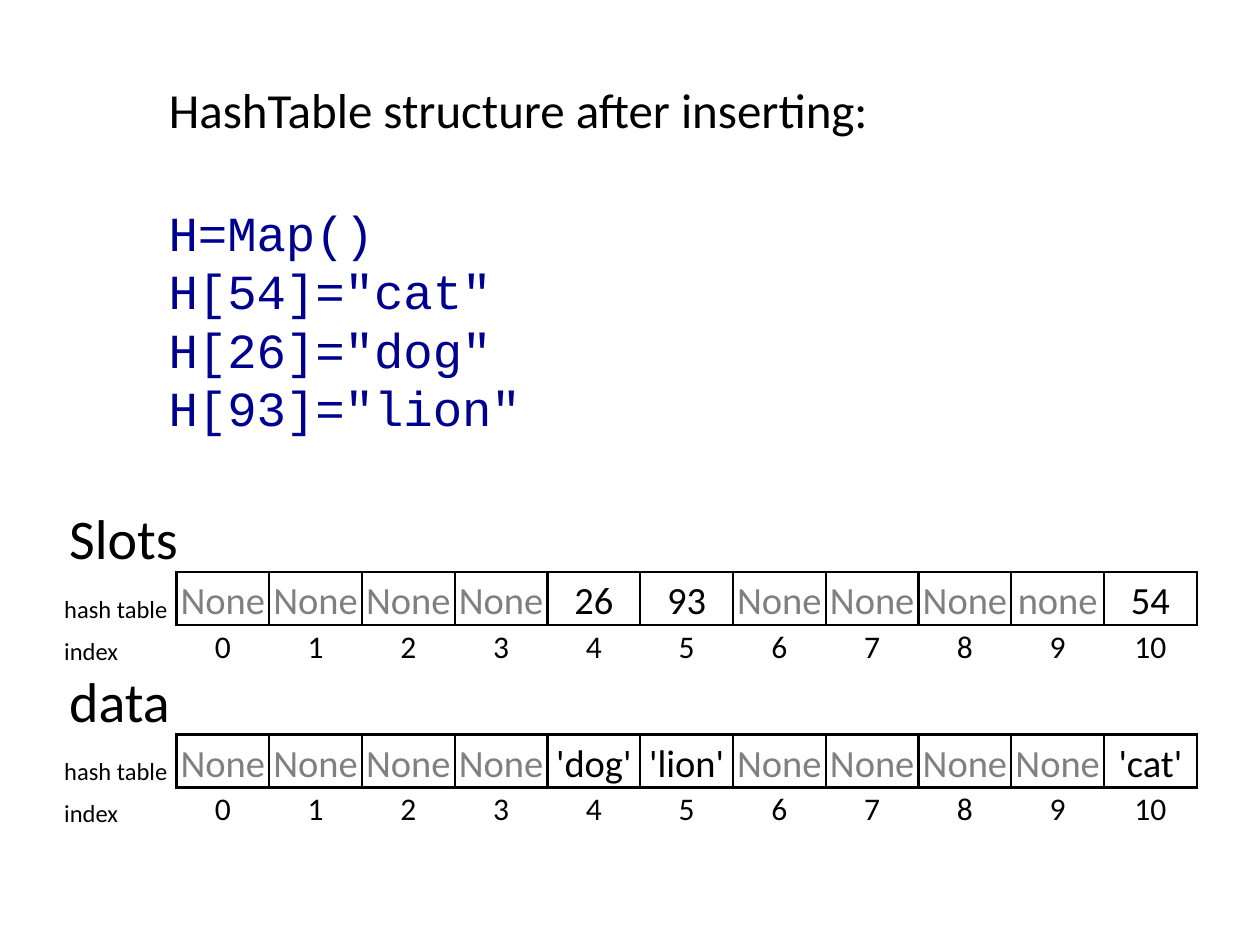
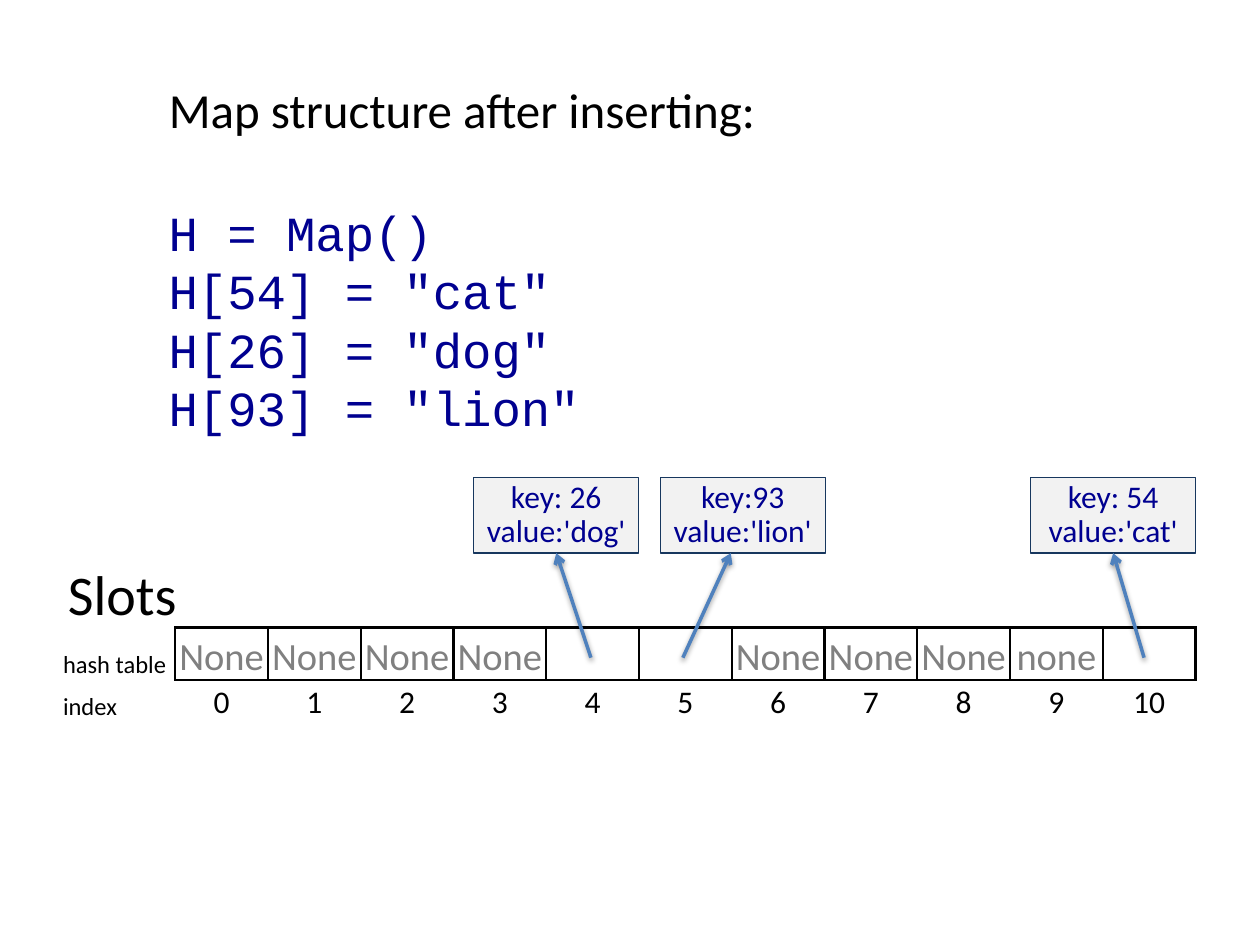
import pptx
import pptx.util
import pptx.dml.color
import pptx.oxml
import pptx.oxml.ns
import pptx.enum.text
import pptx.enum.shapes
from lxml import etree

Inches = pptx.util.Inches
Pt = pptx.util.Pt
ALIGN = pptx.enum.text.PP_ALIGN
ANCHOR = pptx.enum.text.MSO_ANCHOR

# Shared look
BODY, MONO = "Calibri", "Courier New"
BLACK, GRAY, NAVY = "000000", "808080", "000090"
CARD_FILL, CARD_LINE, ARROW = "F2F2F2", "17375E", "4F81BD"
SLOT_COUNT = 11
LABEL_W, TABLE_W = 0.9, 9
ROW_HEIGHTS = (0.42, 0.33)
NO_STYLE = "{2D5ABB26-0587-4C30-8999-92F81FD0307C}"


def rgb(value):
    return pptx.dml.color.RGBColor.from_string(value)


def sub(parent, tag, **attrs):
    return etree.SubElement(parent, pptx.oxml.ns.qn(tag), attrs)


def set_text(tf, text, size=18, font=BODY, color=BLACK, align=ALIGN.LEFT, spacing=None):
    """Write each line of text as a paragraph with one format."""
    for i, line in enumerate(text.split("\n")):
        p = tf.paragraphs[0] if i == 0 else tf.add_paragraph()
        p.alignment = align
        if spacing:
            p.line_spacing = spacing
        r = p.add_run()
        r.text = line
        r.font.size, r.font.name = Pt(size), font
        r.font.color.rgb = rgb(color)


def add_text(s, text, x, y, w, h, wrap=True, **fmt):
    tf = s.shapes.add_textbox(Inches(x), Inches(y), Inches(w), Inches(h)).text_frame
    tf.word_wrap = wrap
    set_text(tf, text, **fmt)


def add_slide(prs, title, title_w, code):
    """Start a slide with its heading and the code below it."""
    s = prs.slides.add_slide(prs.slide_layouts[5])
    sp = s.shapes.title
    sp.left, sp.top = Inches(1.24), Inches(0.58)
    sp.width, sp.height = Inches(title_w), Inches(0.58)
    tf = sp.text_frame
    tf.word_wrap = False
    tf.auto_size = pptx.enum.text.MSO_AUTO_SIZE.NONE
    tf.vertical_anchor = ANCHOR.TOP
    set_text(tf, title, size=28)
    add_text(s, code, 1.24, 1.56, title_w, 1.95, size=28, font=MONO,
             color=NAVY, spacing=Pt(33.4))
    return s


def set_borders(cell, sides):
    tcPr = cell._tc.get_or_add_tcPr()
    for side in "LRTB":
        ln = sub(tcPr, "a:ln" + side, w=str(Pt(1.5) if side in sides else 0))
        if side in sides:
            sub(sub(ln, "a:solidFill"), "a:srgbClr", val=BLACK)
        else:
            sub(ln, "a:noFill")


def fill_cell(cell, text, sides, **fmt):
    cell.margin_left = cell.margin_right = cell.margin_top = Inches(0.01)
    cell.margin_bottom = 0
    cell.vertical_anchor = ANCHOR.BOTTOM
    set_text(cell.text_frame, text, **fmt)
    set_borders(cell, sides)
    cell.fill.background()


def add_hash_table(s, name, name_w, x, y, values):
    """Draw a named row of slots with the indexes below."""
    frame = s.shapes.add_table(2, SLOT_COUNT + 1, Inches(x), Inches(y),
                               Inches(TABLE_W), Inches(sum(ROW_HEIGHTS)))
    table = frame.table
    table.first_row = table.horz_banding = False
    table._tbl.tblPr.find(pptx.oxml.ns.qn("a:tableStyleId")).text = NO_STYLE
    for row, height in zip(table.rows, ROW_HEIGHTS):
        row.height = Inches(height)
    for i, column in enumerate(table.columns):
        column.width = Inches((TABLE_W - LABEL_W) / SLOT_COUNT if i else LABEL_W)

    fill_cell(table.cell(0, 0), "hash table", "R", size=14)
    fill_cell(table.cell(1, 0), "index", "", size=14)
    for i, value in enumerate(values):
        color = GRAY if value.lower() == "none" else BLACK
        fill_cell(table.cell(0, i + 1), value, "LRTB", size=22,
                  color=color, align=ALIGN.CENTER)
        fill_cell(table.cell(1, i + 1), str(i), "T", align=ALIGN.CENTER)
    add_text(s, name, x - 0.05, y - 0.59, name_w, 0.64, wrap=False, size=32)


def slot_values(entries):
    """Give every slot its entry, or None where there is none."""
    return [entries.get(i, "None") for i in range(SLOT_COUNT)]


def add_card(s, text, x):
    sp = s.shapes.add_shape(pptx.enum.shapes.MSO_SHAPE.RECTANGLE,
                            Inches(x), Inches(3.79), Inches(1.31), Inches(0.6))
    sp.shadow.inherit = False
    sp.fill.solid()
    sp.fill.fore_color.rgb = rgb(CARD_FILL)
    sp.line.color.rgb = rgb(CARD_LINE)
    sp.line.width = Pt(0.75)
    tf = sp.text_frame
    tf.word_wrap = True
    tf.margin_left = tf.margin_right = Inches(0.05)
    tf.vertical_anchor = ANCHOR.MIDDLE
    set_text(tf, text, color=NAVY, align=ALIGN.CENTER, spacing=0.9)
    return sp


def add_arrow(s, x1, x2, card=None):
    """Point from a slot to the lower edge of a card."""
    line = s.shapes.add_connector(pptx.enum.shapes.MSO_CONNECTOR.STRAIGHT,
                                  Inches(x1), Inches(5.22), Inches(x2), Inches(4.39))
    if card is not None:
        line.end_connect(card, 2)
    line.line.color.rgb = rgb(ARROW)
    line.line.width = Pt(2)
    sub(line.line._get_or_add_ln(), "a:tailEnd", type="arrow")
    shadow = sub(sub(line._element.spPr, "a:effectLst"), "a:outerShdw",
                 blurRad=str(Pt(3.1)), dist=str(Pt(1.6)), dir="5400000", rotWithShape="0")
    sub(sub(shadow, "a:srgbClr", val=BLACK), "a:alpha", val="38000")


def main():
    prs = pptx.Presentation()
    prs.slide_width, prs.slide_height = Inches(10), Inches(7.5)

    # Slide 1: keys and values in two parallel lists
    s = add_slide(prs, "HashTable structure after inserting:", 5.86,
                  'H=Map()\nH[54]="cat"\nH[26]="dog"\nH[93]="lion"')
    add_hash_table(s, "Slots", 1.07, 0.5, 4.54,
                   slot_values({4: "26", 5: "93", 9: "none", 10: "54"}))
    add_hash_table(s, "data", 1.02, 0.5, 5.83,
                   slot_values({4: "'dog'", 5: "'lion'", 10: "'cat'"}))

    # Slide 2: slots that point to key-value entries
    s = add_slide(prs, "Map structure after inserting:", 4.92,
                  'H = Map()\nH[54] = "cat"\nH[26] = "dog"\nH[93] = "lion"')
    add_hash_table(s, "Slots", 1.07, 0.49, 4.98,
                   slot_values({4: "", 5: "", 9: "none", 10: ""}))
    dog = add_card(s, "key: 26\nvalue:'dog'", 3.76)
    add_card(s, "key:93\nvalue:'lion'", 5.24)
    cat = add_card(s, "key: 54\nvalue:'cat'", 8.18)
    add_arrow(s, 4.69, 4.42, dog)
    add_arrow(s, 5.42, 5.8)
    add_arrow(s, 9.08, 8.83, cat)

    prs.save("out.pptx")


if __name__ == "__main__":
    main()
